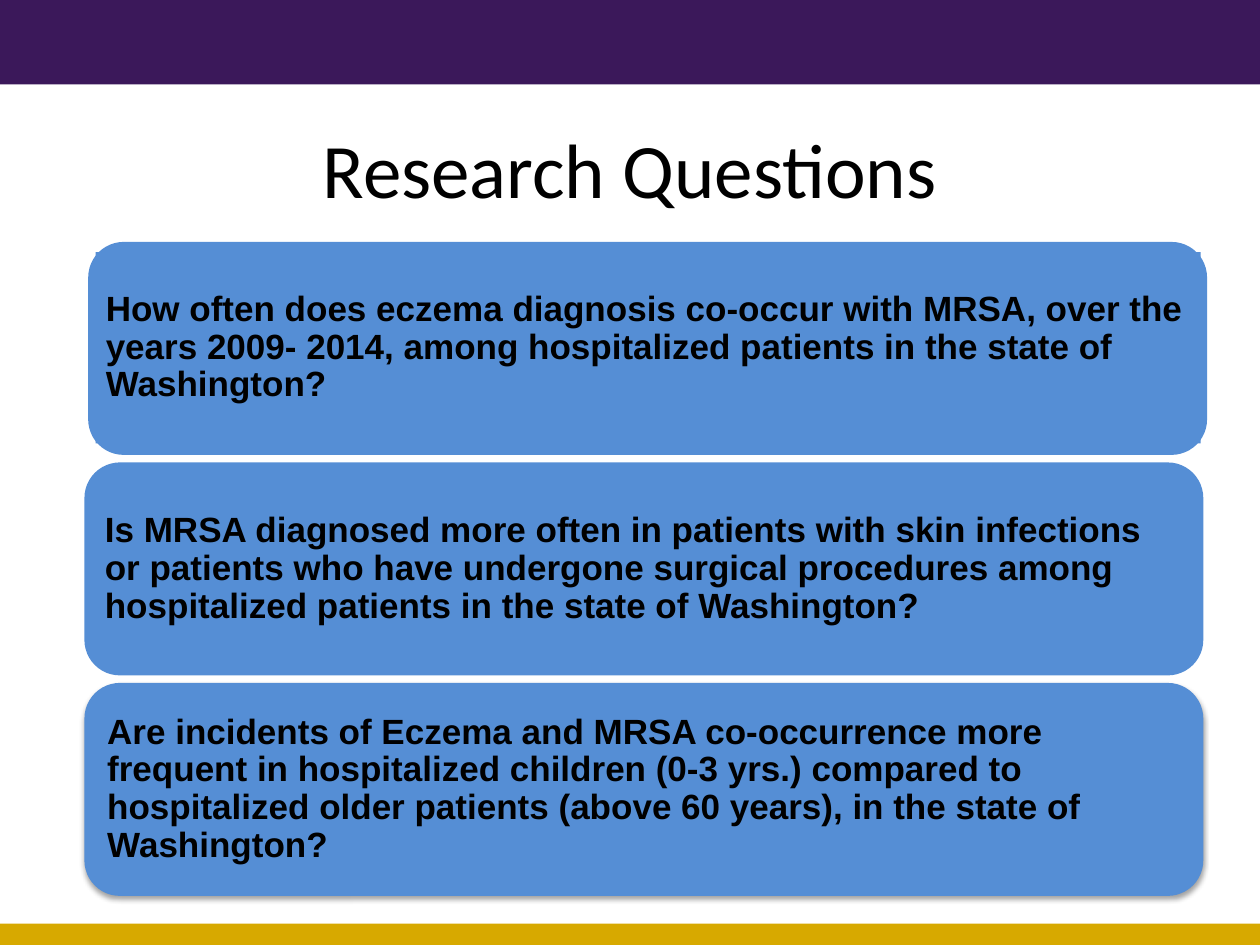
"""Build the research questions slide: a title and three stacked question boxes."""
from lxml.etree import SubElement
from pptx import Presentation
from pptx.dml.color import RGBColor as Rgb
from pptx.enum.shapes import MSO_SHAPE as Kind
from pptx.enum.text import MSO_ANCHOR as Anchor, PP_ALIGN as Align
from pptx.oxml.ns import qn
from pptx.util import Inches, Pt

HUES = {"purple": "3B185A", "gold": "D7A900", "blue": "558ED5", "black": "000000"}
ASKS = [
    "How often does eczema diagnosis co-occur with MRSA, over the years 2009- 2014, "
    "among hospitalized patients in the state of Washington?",
    "Is MRSA diagnosed more often in patients with skin infections or patients who have "
    "undergone surgical procedures among hospitalized patients in the state of Washington?",
    "Are incidents of Eczema and MRSA co-occurrence more frequent in hospitalized children "
    "(0-3 yrs.) compared to hospitalized older patients (above 60 years), in the state of Washington?",
]
WIDE, HIGH = 10, 7.5
LEFT, TOP, STEP = 0.67, 1.92, 1.75
BOX_W, BOX_H = 8.88, 1.69

deck = Presentation()
deck.slide_width, deck.slide_height = Inches(WIDE), Inches(HIGH)
slide = deck.slides.add_slide(deck.slide_layouts[5])


def block(kind, x, y, w, h, hue):
    """Add a plain filled shape."""
    shape = slide.shapes.add_shape(kind, *map(Inches, (x, y, w, h)))
    shape.shadow.inherit = False
    shape.fill.solid()
    shape.fill.fore_color.rgb = Rgb.from_string(HUES[hue])
    shape.line.fill.background()
    return shape


def write(shape, text, size=20, font="Arial", bold=True, align=Align.LEFT, space=0.9, pad=(0.08, 0.04)):
    """Put formatted text into a shape."""
    frame = shape.text_frame
    frame.word_wrap = True
    frame.vertical_anchor = Anchor.MIDDLE
    frame.margin_left = frame.margin_right = Inches(pad[0])
    frame.margin_top = frame.margin_bottom = Inches(pad[1])
    para = frame.paragraphs[0]
    para.alignment, para.line_spacing = align, space
    run = para.add_run()
    run.text = text
    run.font.size, run.font.name, run.font.bold = Pt(size), font, bold
    run.font.color.rgb = Rgb.from_string(HUES["black"])


block(Kind.RECTANGLE, 0, 0, WIDE, 0.67, "purple")
block(Kind.RECTANGLE, 0, 7.33, WIDE, 0.17, "gold")

title = slide.shapes.title
title.left, title.top, title.width, title.height = map(Inches, (0.5, 0.83, 9, 1))
write(title, "Research Questions", size=44, font="Calibri", bold=False,
      align=Align.CENTER, space=1.0, pad=(0.1, 0.05))

cards = []
for row in range(len(ASKS)):
    left = LEFT if row else LEFT + 0.03
    cards.append(block(Kind.ROUNDED_RECTANGLE, left, TOP + row * STEP, BOX_W, BOX_H, "blue"))

panel = block(Kind.RECTANGLE, 0.76, 2, 8.77, 1.52, "blue")
write(panel, ASKS[0])
write(cards[1], ASKS[1])
write(cards[2], ASKS[2], pad=(0.1, 0.1))

glow = cards[2]._element.spPr.find(qn("a:effectLst"))
shade = SubElement(glow, qn("a:outerShdw"), blurRad=str(Pt(3.1)), dist=str(Pt(1.6)),
                   dir="5400000", rotWithShape="0")
tint = SubElement(shade, qn("a:srgbClr"), val=HUES["black"])
SubElement(tint, qn("a:alpha"), val="37000")

deck.save("out.pptx")
